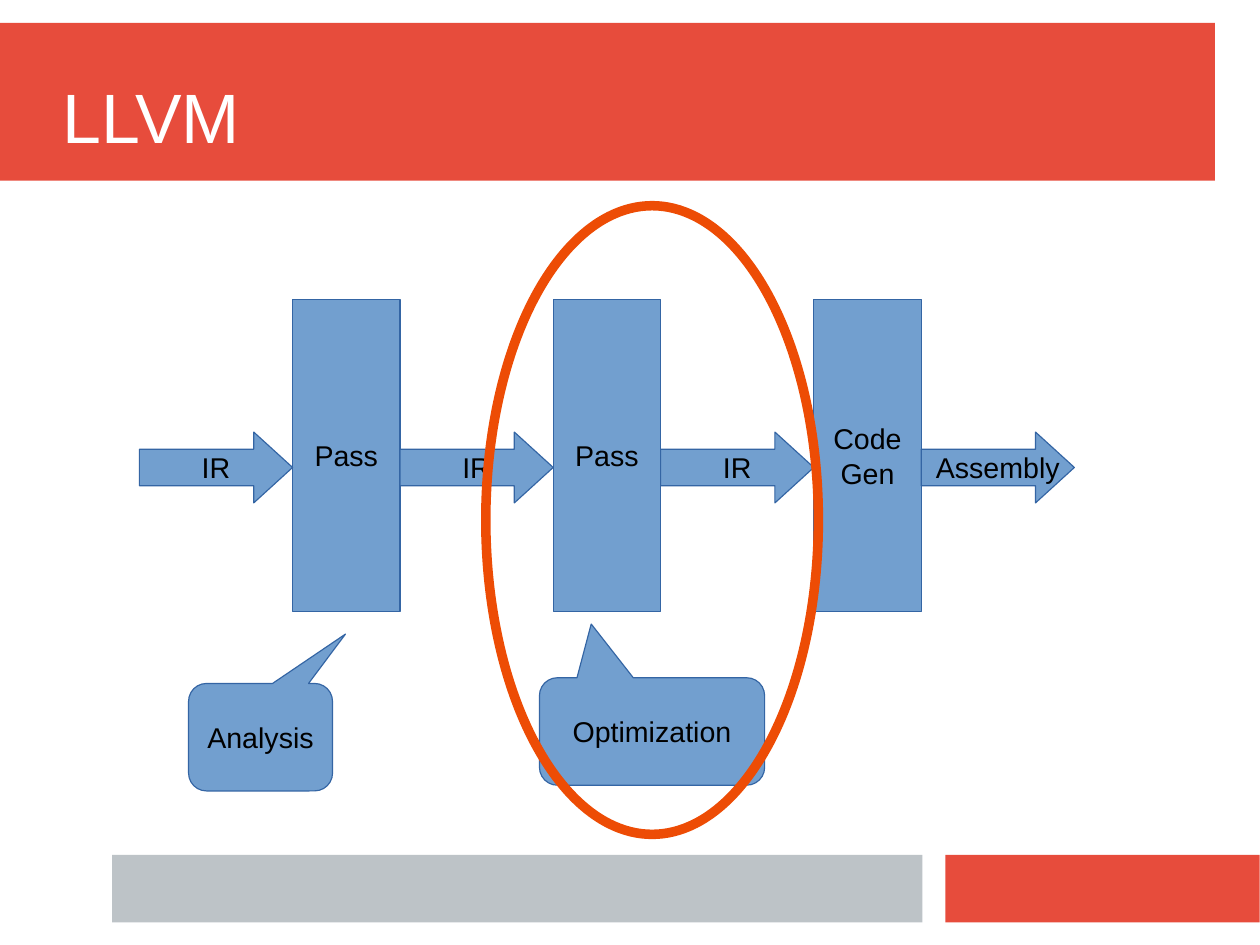
import pptx
import pptx.util
import pptx.dml.color
import pptx.enum.shapes
import pptx.enum.text

Inches = pptx.util.Inches
Pt = pptx.util.Pt
RGBColor = pptx.dml.color.RGBColor
Shape = pptx.enum.shapes.MSO_SHAPE
Align = pptx.enum.text.PP_ALIGN

RED = RGBColor(0xE7, 0x4C, 0x3C)
GRAY = RGBColor(0xBD, 0xC3, 0xC7)
BLUE = RGBColor(0x72, 0x9F, 0xCF)
NAVY = RGBColor(0x34, 0x65, 0xA4)
ORANGE = RGBColor(0xED, 0x4C, 0x05)
BLACK = RGBColor(0, 0, 0)
WHITE = RGBColor(255, 255, 255)

STEP = 2.28  # distance from one stage to the next
STAGES = ["Pass", "Pass", "Code\nGen"]
FLOWS = ["IR", "IR", "IR", "Assembly"]


def write(frame, text, size, color, align):
    """Put each line of text in its own paragraph."""
    frame.vertical_anchor = pptx.enum.text.MSO_ANCHOR.MIDDLE
    for i, line in enumerate(text.split("\n")):
        para = frame.add_paragraph() if i else frame.paragraphs[0]
        para.alignment = align
        run = para.add_run()
        run.text = line
        run.font.size = Pt(size)
        run.font.name = "Arial"
        run.font.color.rgb = color


def add_shape(slide, kind, left, top, width, height):
    shape = slide.shapes.add_shape(
        kind, Inches(left), Inches(top), Inches(width), Inches(height))
    shape.shadow.inherit = False
    return shape


def add_band(slide, color, left, top, width, height):
    band = add_shape(slide, Shape.RECTANGLE, left, top, width, height)
    band.fill.solid()
    band.fill.fore_color.rgb = color
    band.line.fill.background()


def add_title(slide, text):
    box = slide.shapes.add_textbox(
        Inches(0.55), Inches(0.65), Inches(9.92), Inches(0.73))
    frame = box.text_frame
    frame.margin_left = frame.margin_right = 0
    frame.margin_top = frame.margin_bottom = 0
    frame.word_wrap = True
    write(frame, text, 44, WHITE, Align.LEFT)


def label(shape, text):
    """Give a diagram part its blue look and its centred text."""
    shape.fill.solid()
    shape.fill.fore_color.rgb = BLUE
    shape.line.color.rgb = NAVY
    shape.line.width = Pt(0)
    shape.text_frame.word_wrap = False
    write(shape.text_frame, text, 18, BLACK, Align.CENTER)


def add_stage(slide, left, text):
    label(add_shape(slide, Shape.RECTANGLE, left, 2.62, 0.94, 2.73), text)


def add_flow(slide, left, text):
    """Draw a block arrow whose label is centred on its whole width."""
    neck, tip, mid = left + 1, left + 1.34, 4.09
    points = [(neck, mid - 0.16), (neck, mid - 0.31), (tip, mid),
              (neck, mid + 0.31), (neck, mid + 0.16), (left, mid + 0.16)]
    pen = slide.shapes.build_freeform(Inches(left), Inches(mid - 0.16))
    pen.add_line_segments([(Inches(x), Inches(y)) for x, y in points])
    arrow = pen.convert_to_shape()
    arrow.shadow.inherit = False
    label(arrow, text)


def add_callout(slide, left, top, width, tail, text):
    note = add_shape(
        slide, Shape.ROUNDED_RECTANGULAR_CALLOUT, left, top, width, 0.94)
    for i, value in enumerate(tail):
        note.adjustments[i] = value
    label(note, text)


def add_ring(slide, left, top, width, height):
    ring = add_shape(slide, Shape.OVAL, left, top, width, height)
    ring.fill.background()
    ring.line.color.rgb = ORANGE
    ring.line.width = Pt(6)


def main():
    deck = pptx.Presentation()
    # The page is metric: 28 by 21 cm
    deck.slide_width = pptx.util.Cm(28)
    deck.slide_height = pptx.util.Cm(21)
    slide = deck.slides.add_slide(deck.slide_layouts[6])

    add_band(slide, RED, 0, 0.2, 10.63, 1.38)
    add_band(slide, RED, 8.27, 7.48, 2.75, 0.59)
    add_band(slide, GRAY, 0.98, 7.48, 7.09, 0.59)
    add_title(slide, "LLVM")

    for i, text in enumerate(STAGES):
        add_stage(slide, 2.56 + i * STEP, text)
    for i, text in enumerate(FLOWS):
        add_flow(slide, 1.22 + i * STEP, text)

    add_callout(slide, 1.65, 5.98, 1.26, (0.59, -0.96), "Analysis")
    add_callout(slide, 4.72, 5.93, 1.97, (-0.27, -1), "Optimization")
    add_ring(slide, 4.25, 1.8, 2.91, 5.5)
    deck.save("out.pptx")


if __name__ == "__main__":
    main()
